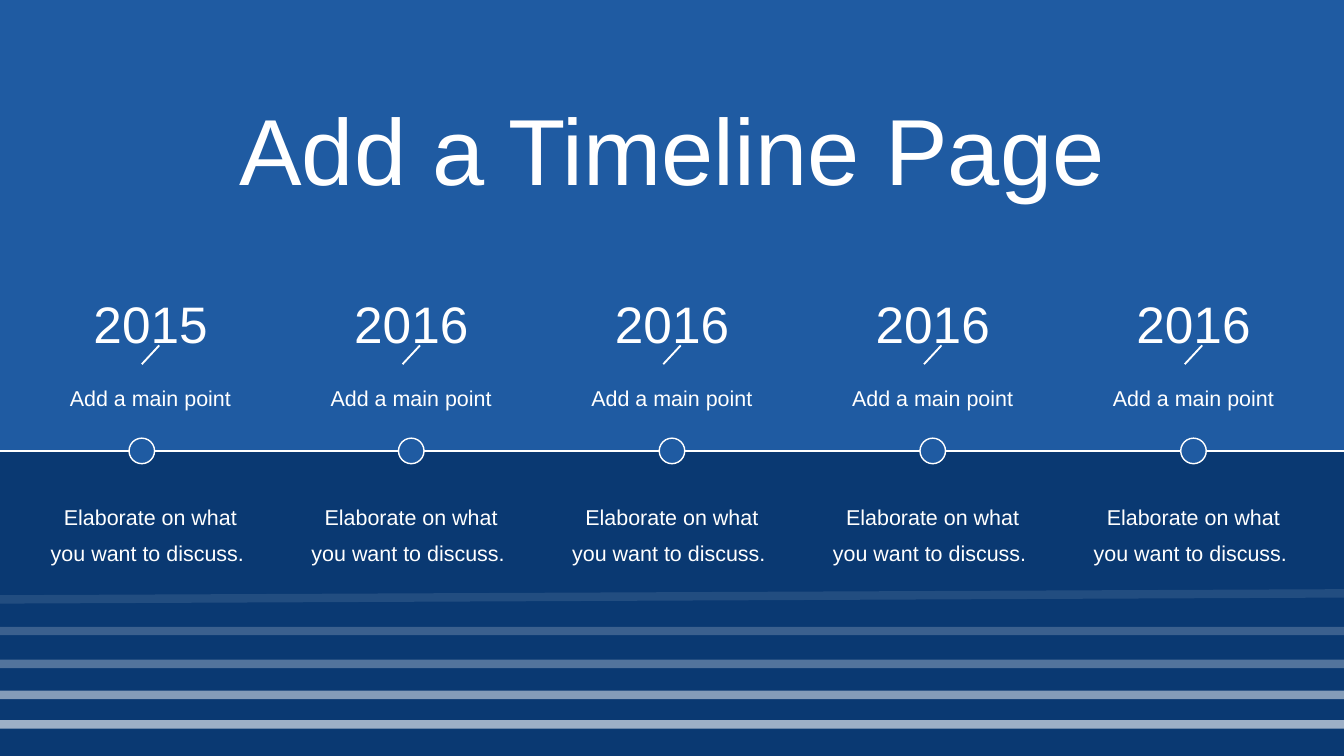
from dataclasses import dataclass

from lxml import etree
from pptx import Presentation
from pptx.dml.color import RGBColor
from pptx.enum.shapes import MSO_CONNECTOR, MSO_SHAPE
from pptx.enum.text import MSO_AUTO_SIZE, PP_ALIGN
from pptx.oxml.ns import qn
from pptx.util import Inches, Pt

STRAIGHT = MSO_CONNECTOR.STRAIGHT
RECTANGLE, OVAL = MSO_SHAPE.RECTANGLE, MSO_SHAPE.OVAL
CENTER = PP_ALIGN.CENTER
GROW = MSO_AUTO_SIZE.SHAPE_TO_FIT_TEXT

WIDTH, HEIGHT = 20, 11.25
MIDDLE = WIDTH / 2
PITCH = 3.88
AXIS_Y = 6.71
DOT = 0.38


@dataclass(frozen=True)
class Theme:
    sky: RGBColor = RGBColor(0x1F, 0x5B, 0xA2)
    sea: RGBColor = RGBColor(0x0A, 0x39, 0x72)
    ink: RGBColor = RGBColor(0xFF, 0xFF, 0xFF)
    font: str = "Arial"
    title: float = 100.5
    year: float = 55
    body: float = 23
    outline: float = 1.5
    tick: float = 2
    stripe: float = 9


THEME = Theme()

MILESTONES = [
    (year, "Add a main point", "Elaborate on what\nyou want to discuss. ")
    for year in ("2015", "2016", "2016", "2016", "2016")
]
STRIPES = [
    (10.34, 10.34, 50),
    (10.78, 10.78, 60),
    (9.88, 9.88, 30),
    (9.39, 9.39, 20),
    (8.83, 8.92, 10),
]


def add_text(s, text, center, top, width, height, size, spacing):
    box = s.shapes.add_textbox(
        Inches(center - width / 2), Inches(top), Inches(width), Inches(height)
    )
    tf = box.text_frame
    tf.word_wrap = True
    tf.auto_size = GROW
    tf.margin_left = tf.margin_top = tf.margin_right = tf.margin_bottom = 0
    tf.text = text
    for p in tf.paragraphs:
        p.alignment = CENTER
        p.line_spacing = spacing
        for r in p.runs:
            r.font.name = THEME.font
            r.font.size = Pt(size)
            r.font.color.rgb = THEME.ink


def add_line(s, x1, y1, x2, y2, weight, opacity=100):
    line = s.shapes.add_connector(
        STRAIGHT, Inches(x1), Inches(y1), Inches(x2), Inches(y2)
    )
    line.line.color.rgb = THEME.ink
    line.line.width = Pt(weight)
    properties = line._element.spPr
    etree.SubElement(properties, qn("a:effectLst"))
    if opacity < 100:
        color = properties.find(".//" + qn("a:srgbClr"))
        etree.SubElement(color, qn("a:alpha"), val=str(opacity * 1000))


def add_filled(s, kind, left, top, width, height, color):
    sp = s.shapes.add_shape(
        kind, Inches(left), Inches(top), Inches(width), Inches(height)
    )
    sp.shadow.inherit = False
    sp.fill.solid()
    sp.fill.fore_color.rgb = color
    sp.line.fill.background()
    return sp


def add_dot(s, center):
    sp = add_filled(
        s, OVAL, center - DOT / 2, AXIS_Y - DOT / 2, DOT, DOT, THEME.sky
    )
    sp.line.color.rgb = THEME.ink
    sp.line.width = Pt(THEME.outline)


def add_milestone(s, center, year, point, detail):
    add_line(s, center - 0.13, 5.42, center + 0.13, 5.14, THEME.tick)
    add_text(s, point, center, 5.58, 3.68, 0.39, THEME.body, 1.4)
    add_text(s, year, center, 4.16, 2.7, 0.93, THEME.year, 1.2)
    add_text(s, detail, center, 7.35, 3.68, 0.93, THEME.body, 1.4)


def main():
    prs = Presentation()
    prs.slide_width, prs.slide_height = Inches(WIDTH), Inches(HEIGHT)
    s = prs.slides.add_slide(prs.slide_layouts[6])
    s.background.fill.solid()
    s.background.fill.fore_color.rgb = THEME.sky

    add_filled(s, RECTANGLE, 0, AXIS_Y, WIDTH, HEIGHT - AXIS_Y, THEME.sea)
    add_line(s, 0, AXIS_Y, WIDTH, AXIS_Y, THEME.outline)
    add_text(s, "Add a Timeline Page", MIDDLE, 1.01, 17.75, 1.69, THEME.title, 1.21)

    centers = [MIDDLE + PITCH * (i - 2) for i in range(len(MILESTONES))]
    for center, milestone in zip(centers, MILESTONES):
        add_milestone(s, center, *milestone)
    for right_y, left_y, opacity in STRIPES:
        add_line(s, WIDTH, right_y, 0, left_y, THEME.stripe, opacity)
    for center in [centers[0] - 0.13, *centers[1:]]:
        add_dot(s, center)

    prs.save("out.pptx")


if __name__ == "__main__":
    main()
